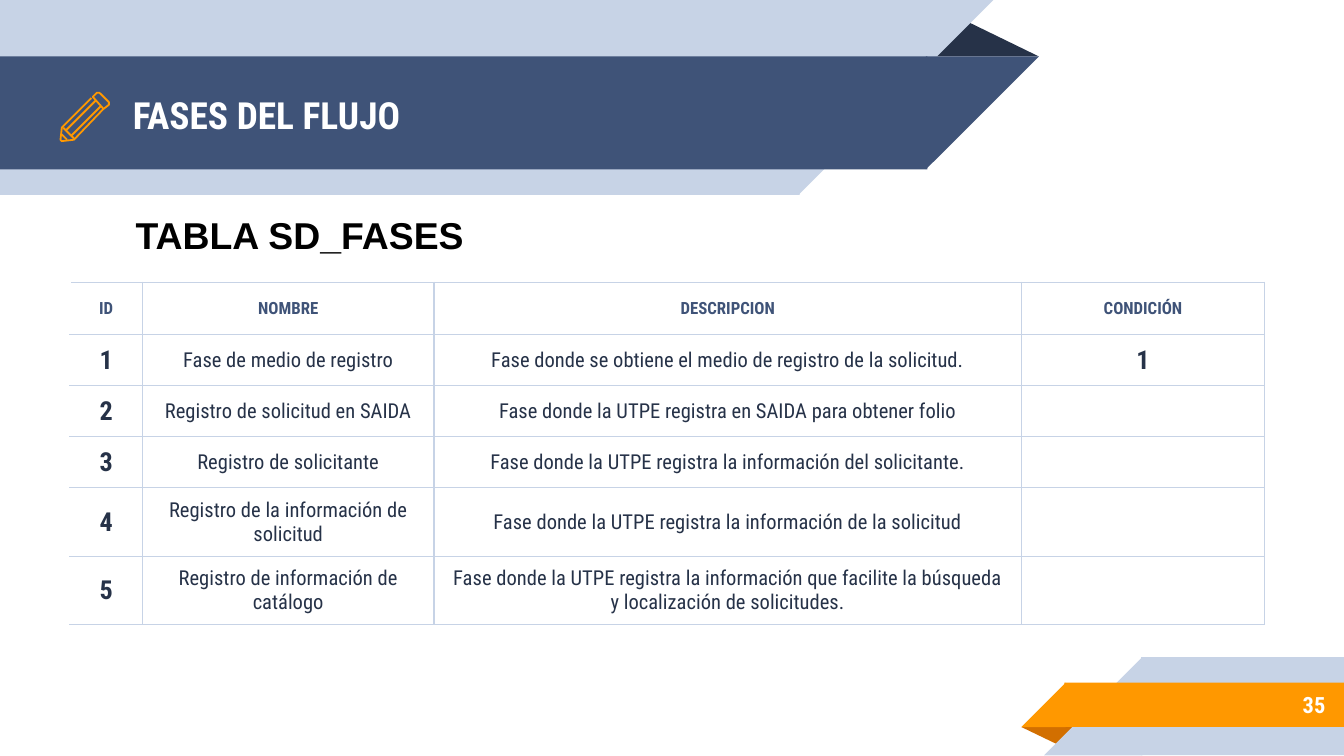
"""Builds the slide that lists the phases of the request flow."""
from lxml import etree
from pptx import Presentation
from pptx import util as u
from pptx.dml.color import RGBColor
from pptx.enum import shapes, text
from pptx.oxml.ns import qn

WHITE = RGBColor(0xFF, 0xFF, 0xFF)
BLACK = RGBColor(0, 0, 0)
PALE = RGBColor(0xC7, 0xD3, 0xE6)
BLUE = RGBColor(0x3F, 0x53, 0x78)
NAVY = RGBColor(0x26, 0x32, 0x48)
ORANGE = RGBColor(0xFF, 0x98, 0x00)
RUST = RGBColor(0xD2, 0x6F, 0x00)

RECT = shapes.MSO_SHAPE.RECTANGLE
CORNER = shapes.MSO_SHAPE.RIGHT_TRIANGLE
TRIANGLE = shapes.MSO_SHAPE.ISOSCELES_TRIANGLE
LEFT, CENTER, RIGHT = text.PP_ALIGN.LEFT, text.PP_ALIGN.CENTER, text.PP_ALIGN.RIGHT
MIDDLE, TOP = text.MSO_ANCHOR.MIDDLE, text.MSO_ANCHOR.TOP
OVERLAP = 0.01

HEADERS = ["ID", "NOMBRE", "DESCRIPCION", "CONDICIÓN"]
PHASES = [
    ["1", "Fase de medio de registro",
     "Fase donde se obtiene el medio de registro de la solicitud.", "1"],
    ["2", "Registro de solicitud en SAIDA",
     "Fase donde la UTPE registra en SAIDA para obtener folio", ""],
    ["3", "Registro de solicitante",
     "Fase donde la UTPE registra la información del solicitante.", ""],
    ["4", "Registro de la información de solicitud",
     "Fase donde la UTPE registra la información de la solicitud", ""],
    ["5", "Registro de información de catálogo",
     "Fase donde la UTPE registra la información que facilite la búsqueda "
     "y localización de solicitudes.", ""],
]
COL_WIDTHS = [0.54, 2.17, 4.37, 1.81]
ROW_HEIGHTS = [0.39, 0.38, 0.38, 0.38, 0.51, 0.51]

PENCIL = [
    [(0.81, 0.76), (0.74, 0.69), (0.72, 0.69), (0.69, 0.72), (0.77, 0.81), (0.81, 0.78), (0.81, 0.76)],
    [(0.75, 0.79), (0.53, 1.01)],
    [(0.68, 0.73), (0.46, 0.95), (0.45, 1.04), (0.46, 1.05), (0.55, 1.04), (0.77, 0.81)],
    [(0.49, 0.97), (0.71, 0.75)],
    [(0.5, 1.04), (0.46, 1)],
    [(0.47, 0.95), (0.55, 1.03)],
]


def write(tf, content, size=11, color=NAVY, bold=False, font="Roboto Condensed", align=LEFT):
    p = tf.paragraphs[0]
    p.alignment = align
    if not content:
        p._p.get_or_add_endParaRPr().set("sz", str(size * 100))
        return p
    r = p.add_run()
    r.text = content
    r.font.name, r.font.size, r.font.bold = font, u.Pt(size), bold
    r.font.color.rgb = color
    return p


class Deck:
    def __init__(self, prs):
        self.s = prs.slides.add_slide(prs.slide_layouts[6])
        self.border = u.Pt(0.75)
        self.stroke = u.Pt(0.96)

    def shape(self, kind, box, color, rotation=0, flip=False, adj=None):
        sp = self.s.shapes.add_shape(kind, *map(u.Inches, box))
        sp.shadow.inherit = False
        sp.fill.solid()
        sp.fill.fore_color.rgb = color
        sp.line.fill.background()
        sp.rotation = rotation
        if flip:
            sp._element.spPr.find(qn("a:xfrm")).set("flipH", "1")
        if adj is not None:
            sp.adjustments[0] = adj

    def label(self, content, box, anchor=MIDDLE, inset=0.1, **fmt):
        tf = self.s.shapes.add_textbox(*map(u.Inches, box)).text_frame
        tf.word_wrap = True
        tf.vertical_anchor = anchor
        tf.margin_top = tf.margin_bottom = u.Inches(inset)
        return write(tf, content, **fmt)

    def outline(self, points, color):
        pts = [(u.Inches(x), u.Inches(y)) for x, y in points]
        builder = self.s.shapes.build_freeform(*pts[0], scale=1.0)
        builder.add_line_segments(pts[1:], close=pts[0] == pts[-1])
        sp = builder.convert_to_shape()
        sp.shadow.inherit = False
        sp.fill.background()
        sp.line.color.rgb = color
        sp.line.width = self.stroke

    def cell(self, cell, content, left_color, **fmt):
        cell.margin_left = cell.margin_right = u.Inches(0.1)
        cell.margin_top = cell.margin_bottom = u.Inches(0.07)
        cell.vertical_anchor = MIDDLE
        tc_pr = cell._tc.get_or_add_tcPr()
        for side, color in zip("LRTB", [left_color, PALE, PALE, PALE]):
            ln = etree.SubElement(tc_pr, qn("a:ln" + side), w=str(self.border))
            fill = etree.SubElement(ln, qn("a:solidFill"))
            etree.SubElement(fill, qn("a:srgbClr"), val=str(color))
        cell.fill.background()
        write(cell.text_frame, content, align=CENTER, **fmt)

    def table(self, rows, left, top, widths, heights):
        box = map(u.Inches, (left, top, sum(widths), sum(heights)))
        table = self.s.shapes.add_table(len(rows), len(widths), *box).table
        table.first_row = table.horz_banding = False
        for col, width in zip(table.columns, widths):
            col.width = u.Inches(width)
        for i, (row, height) in enumerate(zip(rows, heights)):
            table.rows[i].height = u.Inches(height)
            for j, content in enumerate(row):
                if i == 0:
                    fmt = dict(size=9, color=BLUE, bold=True)
                elif content.isdigit():
                    fmt = dict(size=14, bold=True)
                else:
                    fmt = {}
                self.cell(table.cell(i, j), content, PALE if j else WHITE, **fmt)


def main():
    prs = Presentation()
    prs.slide_width = u.Inches(10)
    prs.slide_height = prs.slide_width * 9 // 16
    deck = Deck(prs)

    deck.shape(TRIANGLE, (6.88, 0.14, 0.85, 0.28), NAVY, adj=0.324)
    for top, width, height, color in [(0, 5.94, 1.45, PALE), (0.42, 6.89, 0.84, BLUE)]:
        deck.shape(RECT, (0, top, width + OVERLAP, height), color, 180, True)
        deck.shape(CORNER, (width, top, height, height), color, 180, True)

    deck.shape(TRIANGLE, (7.6, 5.41, 0.43, 0.14), RUST, 180, adj=0.324)
    for left, top, height, color in [(8.5, 4.89, 0.73, PALE), (7.93, 5.08, 0.33, ORANGE)]:
        deck.shape(RECT, (left - OVERLAP, top, 10 - left + OVERLAP, height), color, flip=True)
        deck.shape(CORNER, (left - height, top, height, height), color, flip=True)

    deck.label("FASES DEL FLUJO", (0.89, 0.43, 5.75, 0.84), size=20, color=WHITE, bold=True)
    deck.table([HEADERS] + PHASES, 0.52, 2.1, COL_WIDTHS, ROW_HEIGHTS)
    deck.label("35", (8.33, 5.07, 1.63, 0.35), size=12, color=WHITE, bold=True, align=RIGHT)
    p = deck.label("TABLA SD_FASES", (0.83, 1.53, 4.25, 3.57), TOP, 0.05,
                   size=20, color=BLACK, bold=True, font="Arial")
    p._p.get_or_add_pPr().set("marL", str(u.Inches(0.08)))
    for points in PENCIL:
        deck.outline(points, ORANGE)

    prs.save("out.pptx")


if __name__ == "__main__":
    main()
